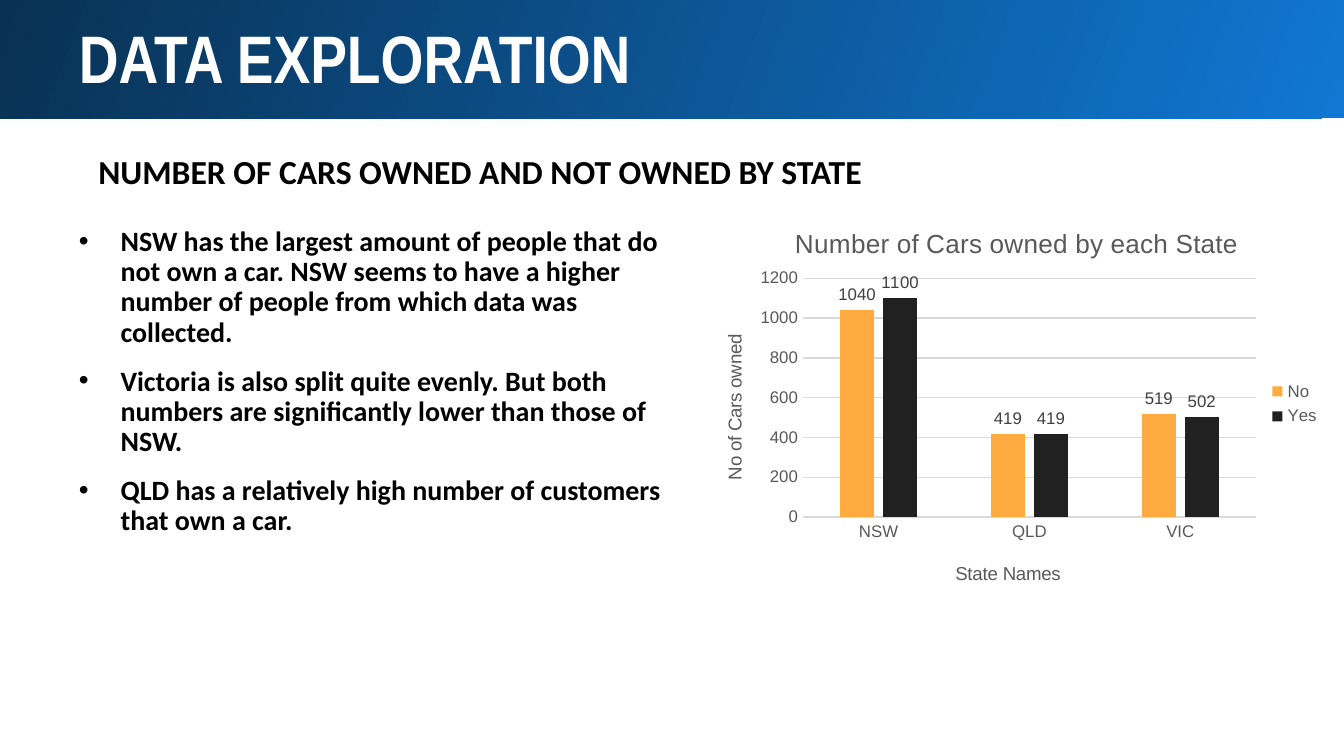
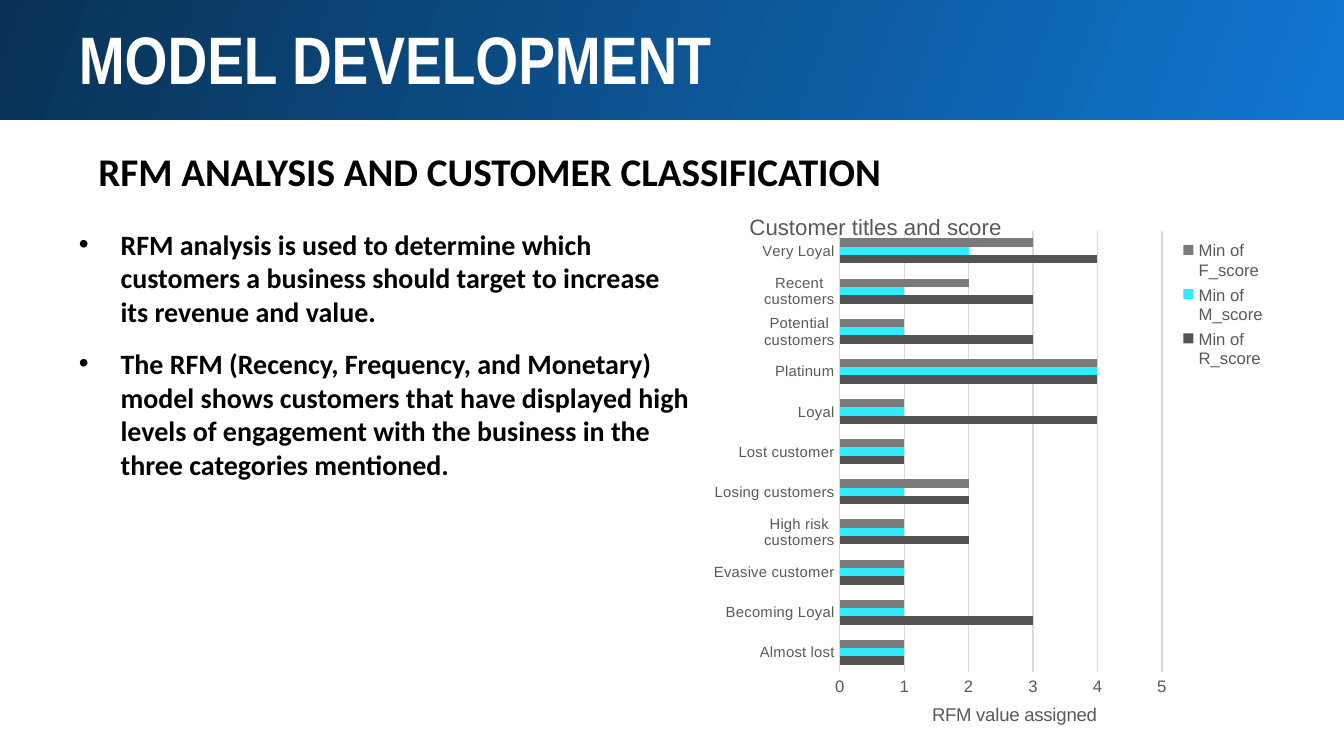
"""Build two analysis slides, each with a gradient title band, bullets and a bar chart."""
from dataclasses import dataclass
from typing import Optional

from lxml import etree
from pptx import Presentation
from pptx import util as u
from pptx.chart import data as chart_data
from pptx.dml.color import RGBColor
from pptx.enum import chart as charts, shapes, text
from pptx.oxml import ns


@dataclass(frozen=True)
class Theme:
    """Colours, fonts and type sizes shared by the slides."""
    band_bright: str = "1077D2"
    band_dark: str = "093153"
    white: str = "FFFFFF"
    black: str = "000000"
    grey: str = "595959"
    label: str = "404040"
    grid: str = "D9D9D9"
    title_font: str = "Arial Narrow"
    body_font: str = "Calibri"
    chart_font: str = "Arial"
    title_size: float = 36
    body_size: float = 15
    axis_title_size: float = 10
    chart_size: float = 9


THEME = Theme()


@dataclass(frozen=True)
class Box:
    """A rectangle in centimetres."""
    left: float
    top: float
    width: float
    height: float

    def lengths(self) -> tuple:
        """Return the four lengths in slide units."""
        return tuple(u.Cm(n) for n in (self.left, self.top, self.width, self.height))


@dataclass(frozen=True)
class Series:
    """One data series and its colour."""
    name: str
    values: tuple
    color: str


@dataclass(frozen=True)
class ChartTitle:
    """A chart or axis title, its size and its place as chart fractions."""
    words: str
    size: float
    place: tuple


@dataclass(frozen=True)
class BarChart:
    """All that sets one bar chart apart."""
    kind: charts.XL_CHART_TYPE
    box: Box
    title: ChartTitle
    value_title: ChartTitle
    categories: tuple
    series: tuple
    maximum: float
    step: float
    gap: int
    plot_place: tuple
    category_title: Optional[ChartTitle] = None
    legend_place: Optional[tuple] = None
    overlap: int = 0
    category_size: float = THEME.chart_size
    has_labels: bool = False


@dataclass(frozen=True)
class AnalysisSlide:
    """The content of one slide."""
    title: str
    heading: str
    heading_size: float
    bullets: tuple
    bullet_spacing: float
    body_width: float
    band_top: float
    chart: BarChart


SLIDES = (
    AnalysisSlide(
        title="DATA EXPLORATION",
        heading="NUMBER OF CARS OWNED AND NOT OWNED BY STATE",
        heading_size=18,
        bullets=(
            "NSW has the largest amount of people that do not own a car. NSW seems to have "
            "a higher number of people from which data was collected.",
            "Victoria is also split quite evenly. But both numbers are significantly lower "
            "than those of NSW.",
            "QLD has a relatively high number of customers that own a car.",
        ),
        bullet_spacing=0.9,
        body_width=11.89,
        band_top=-0.1,
        chart=BarChart(
            kind=charts.XL_CHART_TYPE.COLUMN_CLUSTERED,
            box=Box(12.98, 3.81, 12.22, 7.65),
            title=ChartTitle("Number of Cars owned by each State", 14, (0.16, 0.05)),
            category_title=ChartTitle("State Names", THEME.axis_title_size, (0.41, 0.88)),
            value_title=ChartTitle("No of Cars owned", THEME.axis_title_size, (0.05, 0.32)),
            categories=("NSW", "QLD", "VIC"),
            series=(Series("No", (1040, 419, 519), "FFAB40"),
                    Series("Yes", (1100, 419, 502), "212121")),
            maximum=1200,
            step=200,
            gap=219,
            overlap=-27,
            plot_place=(0.18, 0.19, 0.7, 0.59),
            has_labels=True,
        ),
    ),
    AnalysisSlide(
        title="MODEL DEVELOPMENT",
        heading="RFM ANALYSIS AND CUSTOMER CLASSIFICATION",
        heading_size=21,
        bullets=(
            "RFM analysis is used to determine which customers a business should target to "
            "increase its revenue and value.",
            "The RFM (Recency, Frequency, and Monetary) model shows customers that have "
            "displayed high levels of engagement with the business in the three categories "
            "mentioned.",
        ),
        bullet_spacing=1.0,
        body_width=12.09,
        band_top=-0.07,
        chart=BarChart(
            kind=charts.XL_CHART_TYPE.BAR_CLUSTERED,
            box=Box(13.49, 3.66, 10.57, 10.16),
            title=ChartTitle("Customer titles and score", 12, (0.05, 0.03)),
            value_title=ChartTitle("RFM value assigned", THEME.axis_title_size, (0.38, 0.95)),
            categories=("Almost lost", "Becoming Loyal", "Evasive customer",
                        "High risk customers", "Losing customers", "Lost customer", "Loyal",
                        "Platinum", "Potential customers", "Recent customers", "Very Loyal"),
            series=(Series("Min of R_score", (1, 3, 1, 2, 2, 1, 4, 4, 3, 3, 4), "545454"),
                    Series("Min of M_score", (1, 1, 1, 1, 1, 1, 1, 4, 1, 1, 2), "31EBFF"),
                    Series("Min of F_score", (1, 1, 1, 1, 2, 1, 1, 4, 1, 2, 3), "7A7A7A")),
            maximum=5,
            step=1,
            gap=182,
            plot_place=(0.22, 0.07, 0.58, 0.83),
            legend_place=(0.82, 0.08, 0.18, 0.26),
            category_size=8,
        ),
    ),
)


def rgb(color: str) -> RGBColor:
    """Turn a hex string into a colour."""
    return RGBColor.from_string(color)


def style_font(font, name: str, size: float, color: str, bold: bool = False) -> None:
    """Set the look of a font."""
    font.name, font.size, font.bold = name, u.Pt(size), bold
    font.color.rgb = rgb(color)


def add_text(slide, box: Box, lines: tuple, font: tuple, spacing: float):
    """Add a wrapping text box of bold paragraphs and return its frame."""
    frame = slide.shapes.add_textbox(*box.lengths()).text_frame
    frame.word_wrap = True
    frame.text = "\n".join(lines)
    for paragraph in frame.paragraphs:
        paragraph.line_spacing = spacing
        style_font(paragraph.font, *font, bold=True)
    return frame


def add_heading(slide, content: AnalysisSlide) -> None:
    """Add the heading under the band."""
    font = (THEME.body_font, content.heading_size, THEME.black)
    frame = add_text(slide, Box(1.68, 2.64, 15.65, 1.3), (content.heading,), font, 0.9)
    frame.vertical_anchor = text.MSO_ANCHOR.MIDDLE
    frame.margin_left = frame.margin_right = u.Cm(0.18)
    frame.margin_top = frame.margin_bottom = u.Cm(0.1)


def add_bullets(slide, content: AnalysisSlide) -> None:
    """Add the bulleted text."""
    font = (THEME.body_font, THEME.body_size, THEME.black)
    box = Box(1.24, 4.17, content.body_width, 6.93)
    frame = add_text(slide, box, content.bullets, font, content.bullet_spacing)
    indent = u.Cm(0.79)
    for paragraph in frame.paragraphs:
        paragraph.space_after = u.Pt(10)
        properties = paragraph._p.get_or_add_pPr()
        properties.set("marL", str(indent))
        properties.set("indent", str(-indent))
        bullet_font = etree.Element(ns.qn("a:buFont"), typeface="Arial")
        bullet = etree.Element(ns.qn("a:buChar"), char="•")
        defaults = properties.find(ns.qn("a:defRPr"))
        defaults.addprevious(bullet_font)
        defaults.addprevious(bullet)


def add_band(slide, content: AnalysisSlide) -> None:
    """Add the gradient band and the slide title."""
    box = Box(0, content.band_top, 25.4, 2.34)
    band = slide.shapes.add_shape(shapes.MSO_SHAPE.RECTANGLE, *box.lengths())
    band.shadow.inherit = False
    band.line.fill.background()
    band.fill.gradient()
    band.fill.gradient_angle = 160
    for stop, color, position in zip(band.fill.gradient_stops,
                                     (THEME.band_bright, THEME.band_dark), (0, 1)):
        stop.color.rgb = rgb(color)
        stop.position = position
    font = (THEME.title_font, THEME.title_size, THEME.white)
    add_text(slide, Box(1.24, content.band_top + 0.57, 20.62, 1.52), (content.title,), font, 0.8)


def place_part(element, place: tuple, inner: bool = False) -> None:
    """Give a chart part a fixed place, in fractions of the chart."""
    for old in element.findall(ns.qn("c:layout")):
        element.remove(old)
    layout = etree.Element(ns.qn("c:layout"))
    manual = etree.SubElement(layout, ns.qn("c:manualLayout"))
    settings = [("layoutTarget", "inner")] if inner else []
    settings += [("xMode", "edge"), ("yMode", "edge")]
    settings += [(key, str(value)) for key, value in zip("xywh", place)]
    for key, value in settings:
        etree.SubElement(manual, ns.qn(f"c:{key}"), val=value)
    leaders = (ns.qn("c:tx"), ns.qn("c:legendPos"))
    element.insert(sum(child.tag in leaders for child in element), layout)


def write_title(title, content: ChartTitle) -> None:
    """Write and place a chart or axis title."""
    title.text_frame.text = content.words
    style_font(title.text_frame.paragraphs[0].font, THEME.chart_font, content.size, THEME.grey)
    place_part(title._element, content.place)


def style_axis(axis, size: float, title: Optional[ChartTitle]) -> None:
    """Set what both axes share."""
    axis.major_tick_mark = axis.minor_tick_mark = charts.XL_TICK_MARK.NONE
    style_font(axis.tick_labels.font, THEME.chart_font, size, THEME.grey)
    axis.has_title = title is not None
    if title:
        write_title(axis.axis_title, title)


def style_line(line) -> None:
    """Draw a thin grey chart line."""
    line.color.rgb = rgb(THEME.grid)
    line.width = u.Pt(0.75)


def add_bar_chart(slide, content: BarChart) -> None:
    """Add a clustered bar or column chart."""
    table = chart_data.CategoryChartData()
    table.categories = content.categories
    for series in content.series:
        table.add_series(series.name, series.values)
    chart = slide.shapes.add_chart(content.kind, *content.box.lengths(), table).chart
    style_font(chart.font, THEME.chart_font, 10, THEME.black)
    chart.has_title = True
    write_title(chart.chart_title, content.title)

    style_axis(chart.category_axis, content.category_size, content.category_title)
    style_line(chart.category_axis.format.line)
    value_axis = chart.value_axis
    style_axis(value_axis, THEME.chart_size, content.value_title)
    value_axis.format.line.fill.background()
    value_axis.minimum_scale, value_axis.maximum_scale = 0, content.maximum
    value_axis.major_unit = content.step
    style_line(value_axis.major_gridlines.format.line)

    chart.has_legend = True
    chart.legend.position = charts.XL_LEGEND_POSITION.RIGHT
    chart.legend.include_in_layout = False
    style_font(chart.legend.font, THEME.chart_font, THEME.chart_size, THEME.grey)
    if content.legend_place:
        place_part(chart.legend._element, content.legend_place)

    plot = chart.plots[0]
    plot.vary_by_categories = False
    plot.gap_width, plot.overlap = content.gap, content.overlap
    for drawn, series in zip(plot.series, content.series):
        drawn.format.fill.solid()
        drawn.format.fill.fore_color.rgb = rgb(series.color)
        if content.has_labels:
            drawn.data_labels.show_value = True
            drawn.data_labels.position = charts.XL_LABEL_POSITION.OUTSIDE_END
            style_font(drawn.data_labels.font, THEME.chart_font, THEME.chart_size, THEME.label)
    place_part(chart._chartSpace.chart.plotArea, content.plot_place, inner=True)


def main() -> None:
    """Build and save the presentation."""
    presentation = Presentation()
    presentation.slide_width, presentation.slide_height = u.Cm(25.4), u.Cm(14.29)
    for content in SLIDES:
        slide = presentation.slides.add_slide(presentation.slide_layouts[6])
        add_heading(slide, content)
        add_bullets(slide, content)
        add_bar_chart(slide, content.chart)
        add_band(slide, content)
    presentation.save("out.pptx")


if __name__ == "__main__":
    main()
